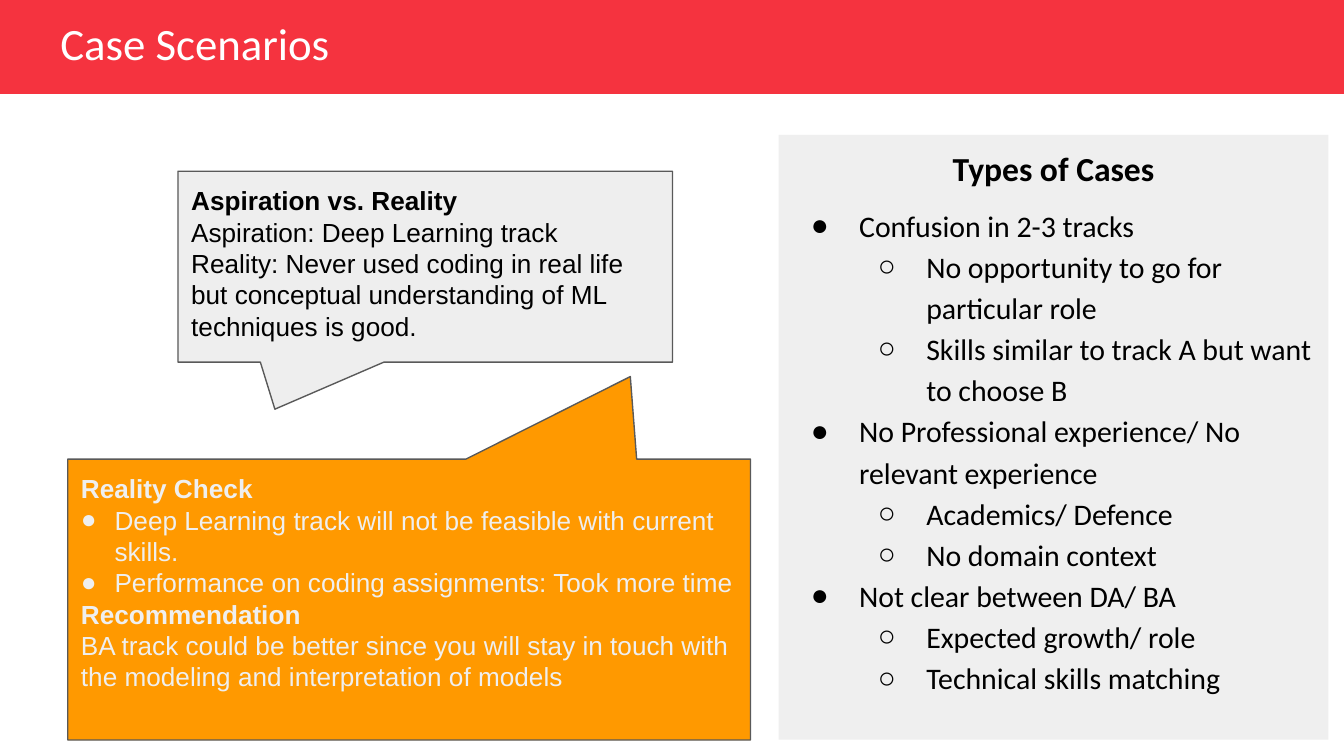
"""Build the case scenarios slide with two callouts and a list of case types."""
from dataclasses import dataclass
from typing import Optional

from lxml.etree import SubElement
from pptx import Presentation
from pptx.dml.color import RGBColor
from pptx.enum.shapes import MSO_SHAPE
from pptx.enum.text import MSO_ANCHOR, PP_ALIGN
from pptx.oxml.ns import qn
from pptx.util import Inches, Pt

SLIDE_WIDTH = Inches(10)
SLIDE_HEIGHT = SLIDE_WIDTH * 9 // 16
COLUMN, ROW = SLIDE_WIDTH / 100, SLIDE_HEIGHT / 56.25


@dataclass(frozen=True)
class Theme:
    banner: str = "F5333F"
    panel: str = "EFEFEF"
    aspiration: str = "EEEEEE"
    reality: str = "FF9900"
    outline: str = "595959"
    dark: str = "000000"
    white: str = "FFFFFF"
    title_size: int = 24
    heading_size: int = 18
    list_size: int = 16
    callout_size: int = 14
    outline_width: float = 0.75
    heading_font: str = "Calibri"
    callout_font: str = "Arial"
    bullet_font: str = "Arial"


THEME = Theme()


@dataclass(frozen=True)
class Bullet:
    symbol: str
    margin: float
    hanging: float
    level: int = 0


@dataclass(frozen=True)
class Line:
    text: str
    size: int
    bold: bool = False
    bullet: Optional[Bullet] = None
    space_before: float = 0
    align: PP_ALIGN = PP_ALIGN.LEFT


@dataclass(frozen=True)
class Box:
    column: float
    row: float
    columns: float
    rows: float
    lines: tuple[Line, ...] = ()
    fill: Optional[str] = None
    outline: Optional[str] = None
    preset: MSO_SHAPE = MSO_SHAPE.RECTANGLE
    adjustments: tuple[float, ...] = ()
    font: str = THEME.heading_font
    color: str = THEME.dark
    line_spacing: float = 1
    inset: float = 0.05
    anchor: MSO_ANCHOR = MSO_ANCHOR.TOP


CASE = Bullet("●", 0.5, 0.36)
DETAIL = Bullet("○", 1, 0.36, 1)
FINDING = Bullet("●", 0.25, 0.28)


def case(text: str, space_before: float = 0) -> Line:
    return Line(text, THEME.list_size, bullet=CASE, space_before=space_before)


def detail(text: str) -> Line:
    return Line(text, THEME.list_size, bullet=DETAIL)


def remark(text: str, bold: bool = False, bullet: Optional[Bullet] = None) -> Line:
    return Line(text, THEME.callout_size, bold, bullet)


BOXES = (
    Box(0, 0, 100, 7, fill=THEME.banner),
    Box(57.94, 10.04, 40.9, 45, (
        Line("Types of Cases", THEME.heading_size, True, None, 7.5, PP_ALIGN.CENTER),
        case("Confusion in 2-3 tracks", 7.5),
        detail("No opportunity to go for particular role"),
        detail("Skills similar to track A but want to choose B"),
        case("No Professional experience/ No relevant experience"),
        detail("Academics/ Defence"),
        detail("No domain context"),
        case("Not clear between DA/ BA"),
        detail("Expected growth/ role"),
        detail("Technical skills matching"),
    ), fill=THEME.panel, line_spacing=1.15),
    Box(3.5, 1.3, 40.9, 4.2, (Line("Case Scenarios", THEME.title_size),),
        color=THEME.white, line_spacing=0.9, anchor=MSO_ANCHOR.MIDDLE),
    Box(13.24, 12.74, 36.8, 14.2, (
        remark("Aspiration vs. Reality", True),
        remark("Aspiration: Deep Learning track"),
        remark("Reality: Never used coding in real life but conceptual "
               "understanding of ML techniques is good."),
    ), THEME.aspiration, THEME.outline, MSO_SHAPE.ROUNDED_RECTANGULAR_CALLOUT,
        (-0.304, 0.747, 0), THEME.callout_font, inset=0.1),
    Box(5.04, 34.16, 50.8, 20.9, (
        remark("Reality Check", True),
        remark("Deep Learning track will not be feasible with current skills.", bullet=FINDING),
        remark("Performance on coding assignments: Took more time", bullet=FINDING),
        remark("Recommendation", True),
        remark("BA track could be better since you will stay in touch with "
               "the modeling and interpretation of models"),
    ), THEME.reality, THEME.outline, MSO_SHAPE.ROUNDED_RECTANGULAR_CALLOUT,
        (0.324, -0.794, 0), THEME.callout_font, THEME.panel, inset=0.1),
)


def add_bullet(paragraph, bullet: Bullet, color: str) -> None:
    paragraph.level = bullet.level
    properties = paragraph._p.get_or_add_pPr()
    properties.set("marL", str(Inches(bullet.margin)))
    properties.set("indent", str(-Inches(bullet.hanging)))
    SubElement(SubElement(properties, qn("a:buClr")), qn("a:srgbClr"), val=color)
    SubElement(properties, qn("a:buFont"), typeface=THEME.bullet_font)
    SubElement(properties, qn("a:buChar"), char=bullet.symbol)


def write_lines(text_frame, box: Box) -> None:
    text_frame.word_wrap = True
    text_frame.vertical_anchor = box.anchor
    text_frame.margin_left = text_frame.margin_right = Inches(0.1)
    text_frame.margin_top = text_frame.margin_bottom = Inches(box.inset)
    text_frame.text = "\n".join(line.text for line in box.lines)
    for paragraph, line in zip(text_frame.paragraphs, box.lines):
        paragraph.alignment = line.align
        paragraph.line_spacing = box.line_spacing
        paragraph.space_before = Pt(line.space_before)
        if line.bullet:
            add_bullet(paragraph, line.bullet, box.color)
        for run in paragraph.runs:
            run.font.name = box.font
            run.font.size = Pt(line.size)
            run.font.bold = line.bold
            run.font.color.rgb = RGBColor.from_string(box.color)


def draw_box(slide, box: Box) -> None:
    frame = (round(box.column * COLUMN), round(box.row * ROW),
             round(box.columns * COLUMN), round(box.rows * ROW))
    if box.fill is None:
        shape = slide.shapes.add_textbox(*frame)
    else:
        shape = slide.shapes.add_shape(box.preset, *frame)
        shape.shadow.inherit = False
        shape.fill.solid()
        shape.fill.fore_color.rgb = RGBColor.from_string(box.fill)
        if box.outline:
            shape.line.color.rgb = RGBColor.from_string(box.outline)
            shape.line.width = Pt(THEME.outline_width)
        else:
            shape.line.fill.background()
        for index, adjustment in enumerate(box.adjustments):
            shape.adjustments[index] = adjustment
    if box.lines:
        write_lines(shape.text_frame, box)


def main() -> None:
    presentation = Presentation()
    presentation.slide_width, presentation.slide_height = SLIDE_WIDTH, SLIDE_HEIGHT
    slide = presentation.slides.add_slide(presentation.slide_layouts[6])
    for box in BOXES:
        draw_box(slide, box)
    presentation.save("out.pptx")


if __name__ == "__main__":
    main()
